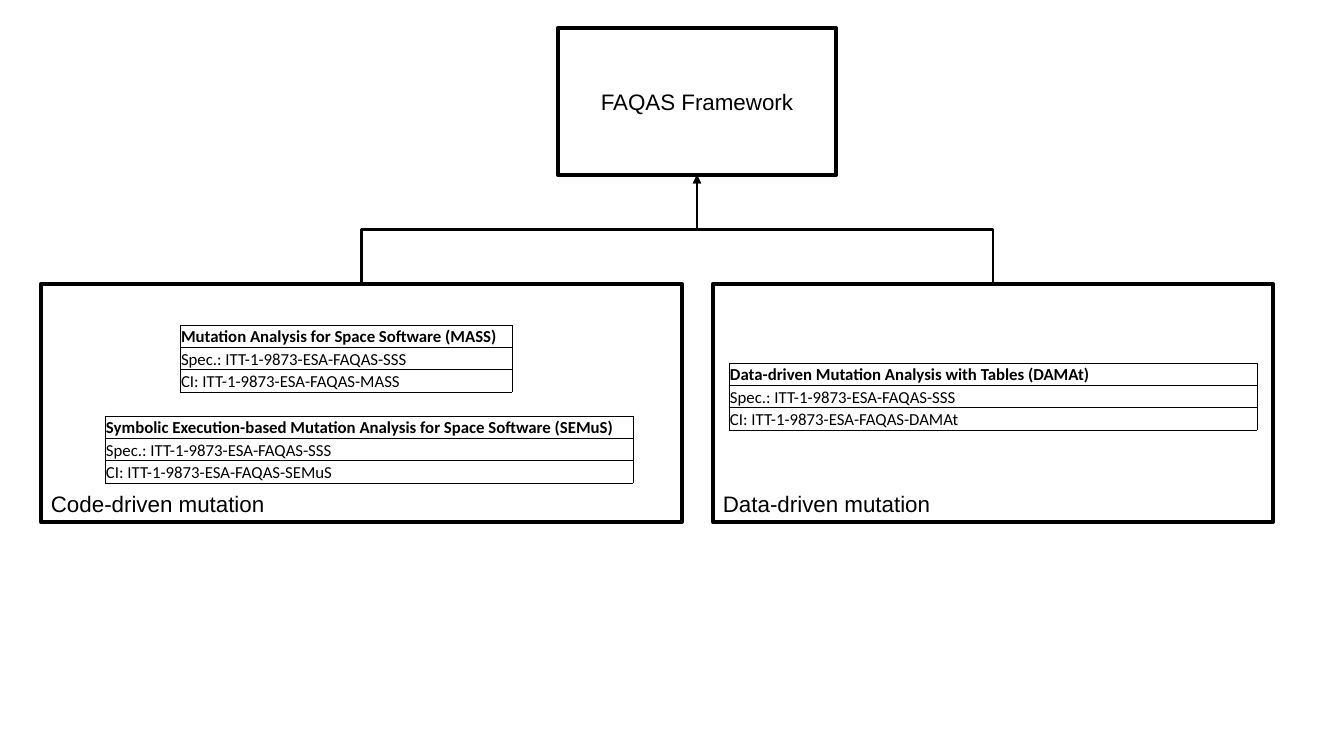
"""Build the FAQAS framework overview slide."""
from dataclasses import dataclass

from lxml.etree import SubElement
from pptx import Presentation
from pptx.dml.color import RGBColor
from pptx.enum.shapes import MSO_CONNECTOR as Link, MSO_SHAPE as Preset
from pptx.enum.text import MSO_ANCHOR as Anchor, PP_ALIGN as Align
from pptx.oxml.ns import qn
from pptx.util import Pt

PX = 914400 / 100.8
SLIDE_SIZE = (1344, 756)
TABLE_HEIGHT = 67

FRAMEWORK = ("FAQAS Framework", (558, 28, 278, 147))
GROUPS = [
    ("Code-driven mutation", (41, 284, 641, 238)),
    ("Data-driven mutation", (713, 284, 560, 238)),
]
TOOLS = [
    ("Mutation Analysis for Space Software", "MASS", (180, 325, 332)),
    ("Symbolic Execution-based Mutation Analysis for Space Software", "SEMuS", (105, 416, 528)),
    ("Data-driven Mutation Analysis with Tables", "DAMAt", (729, 363, 528)),
]


@dataclass(frozen=True)
class Theme:
    ink: str = "000000"
    box_font: str = "Arial"
    box_size: int = 16
    table_font: str = "Calibri"
    table_size: int = 12
    box_line: float = 3
    link_line: float = 2
    cell_line: float = 0.5


THEME = Theme()
INK = RGBColor.from_string(THEME.ink)


def emu(px):
    return round(px * PX)


def write(frame, text, *, font, size, bold=False, align=Align.LEFT):
    para = frame.paragraphs[0]
    para.alignment = align
    span = para.add_run()
    span.text = text
    span.font.name, span.font.size, span.font.bold = font, Pt(size), bold
    span.font.color.rgb = INK


def add_box(page, text, area, anchor, align):
    box = page.shapes.add_shape(Preset.RECTANGLE, *map(emu, area))
    box.shadow.inherit = False
    box.fill.background()
    box.line.color.rgb = INK
    box.line.width = Pt(THEME.box_line)
    box.text_frame.vertical_anchor = anchor
    write(box.text_frame, text, font=THEME.box_font, size=THEME.box_size, align=align)


def add_borders(cell):
    properties = cell._tc.get_or_add_tcPr()
    for side in ("lnL", "lnR", "lnT", "lnB"):
        border = SubElement(properties, qn(f"a:{side}"), w=str(Pt(THEME.cell_line)))
        fill = SubElement(border, qn("a:solidFill"))
        SubElement(fill, qn("a:srgbClr"), val=THEME.ink)


def add_tool(page, title, code, place):
    lines = [f"{title} ({code})", "Spec.: ITT-1-9873-ESA-FAQAS-SSS", f"CI: ITT-1-9873-ESA-FAQAS-{code}"]
    area = map(emu, (*place, TABLE_HEIGHT))
    table = page.shapes.add_table(len(lines), 1, *area).table
    table.first_row = table.horz_banding = False
    for index, line in enumerate(lines):
        cell = table.cell(index, 0)
        add_borders(cell)
        cell.fill.background()
        cell.vertical_anchor = Anchor.BOTTOM
        cell.margin_left = cell.margin_right = cell.margin_top = emu(1)
        cell.margin_bottom = 0
        write(cell.text_frame, line, font=THEME.table_font, size=THEME.table_size, bold=index == 0)


def add_link(page, group, target):
    """Draw an elbow that leaves the group upwards, as a turned horizontal elbow."""
    start_x, start_y = group[0] + group[2] / 2, group[1]
    end_x, end_y = target[0] + target[2] / 2, target[1] + target[3]
    middle_x, middle_y = (start_x + end_x) / 2, (start_y + end_y) / 2
    half_drop, half_span = (start_y - end_y) / 2, abs(end_x - start_x) / 2
    from_left = start_x < end_x
    reach = half_drop if from_left else -half_drop
    ends = (middle_x + reach, middle_y + half_span, middle_x - reach, middle_y - half_span)
    link = page.shapes.add_connector(Link.ELBOW, *map(emu, ends))
    link.line.color.rgb = INK
    link.line.width = Pt(THEME.link_line)
    properties = link._element.spPr
    properties.find(qn("a:xfrm")).set("rot", str((90 if from_left else 270) * 60000))
    SubElement(properties.find(qn("a:ln")), qn("a:tailEnd"), type="triangle")
    SubElement(properties, qn("a:effectLst"))


def main():
    deck = Presentation()
    deck.slide_width, deck.slide_height = map(emu, SLIDE_SIZE)
    page = deck.slides.add_slide(deck.slide_layouts[6])
    add_box(page, *FRAMEWORK, Anchor.MIDDLE, Align.CENTER)
    for label, area in GROUPS:
        add_box(page, label, area, Anchor.BOTTOM, Align.LEFT)
    for tool in TOOLS:
        add_tool(page, *tool)
    for _, area in GROUPS:
        add_link(page, area, FRAMEWORK[1])
    deck.save("out.pptx")


if __name__ == "__main__":
    main()
